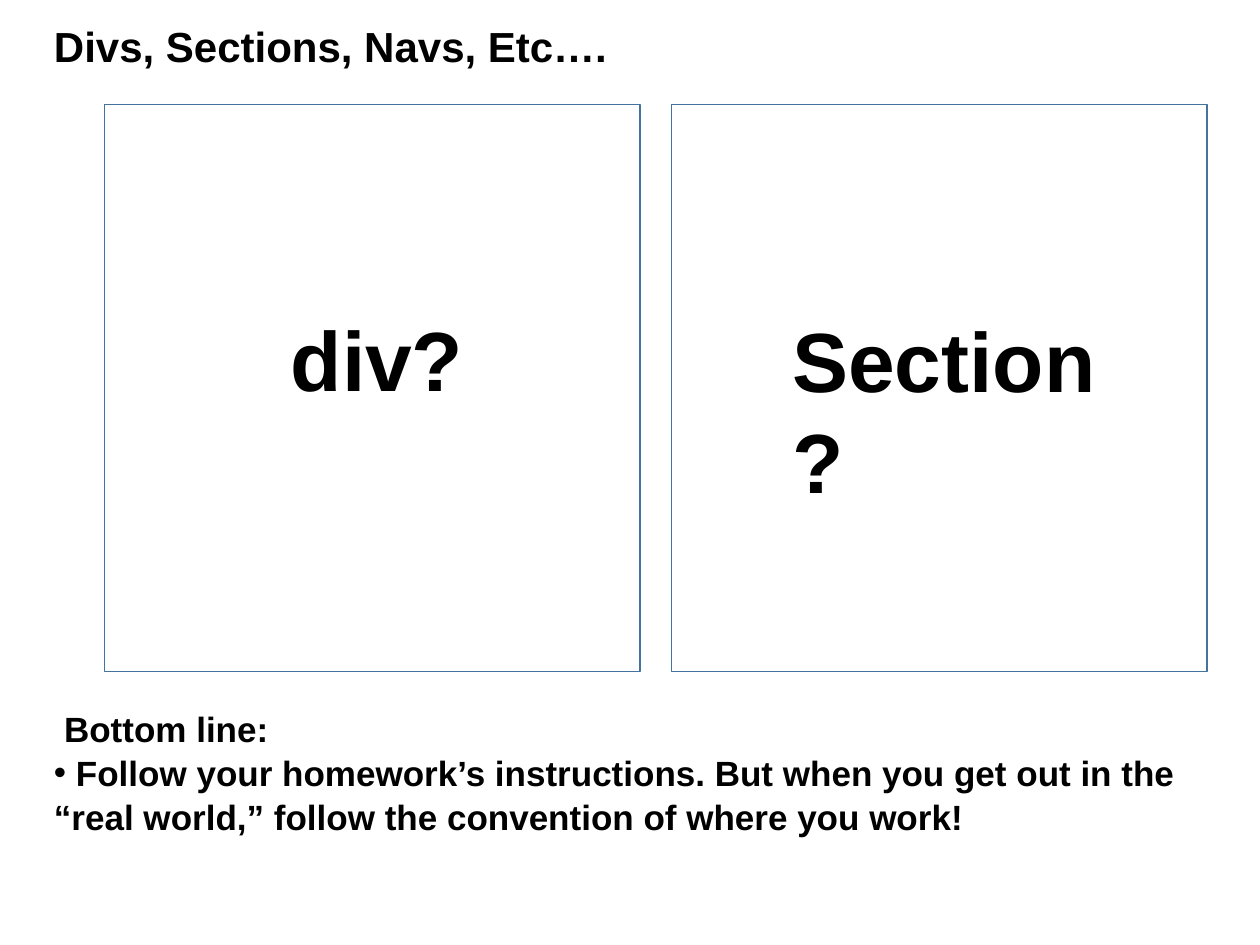
from lxml import etree
from pptx import Presentation
from pptx.dml.color import RGBColor
from pptx.enum.shapes import MSO_SHAPE
from pptx.oxml.ns import qn
from pptx.util import Inches, Pt

BLACK = RGBColor(0x00, 0x00, 0x00)
BLUE = RGBColor(0x43, 0x73, 0x9E)

presentation = Presentation()
presentation.slide_width = Inches(10)
presentation.slide_height = Inches(7.5)
slide = presentation.slides.add_slide(presentation.slide_layouts[6])


def add_text_box(left, top, width, height, wrap=True):
    frame = slide.shapes.add_textbox(
        Inches(left), Inches(top), Inches(width), Inches(height)).text_frame
    frame.word_wrap = wrap
    return frame


def add_bold_run(paragraph, text, size):
    run = paragraph.add_run()
    run.text = text
    run.font.name = "Arial"
    run.font.size = Pt(size)
    run.font.bold = True
    run.font.color.rgb = BLACK


# Title
title = add_text_box(0.33, 0.11, 6.25, 0.5)
add_bold_run(title.paragraphs[0], "Divs, Sections, Navs, Etc….", 24)

# Conclusion: a heading line and one bullet
conclusion = add_text_box(0.33, 5.5, 9.55, 1.33)
conclusion.margin_top = conclusion.margin_bottom = Inches(0.1)
heading = conclusion.paragraphs[0]
heading.line_spacing = 1.05
heading._p.get_or_add_pPr().set("marL", str(Inches(0.08)))
add_bold_run(heading, "Bottom line:", 20)

advice = conclusion.add_paragraph()
advice.line_spacing = 1.05
properties = advice._p.get_or_add_pPr()
properties.set("marL", "0")
properties.set("indent", "0")
etree.SubElement(properties, qn("a:buFont")).set("typeface", "Arial")
etree.SubElement(properties, qn("a:buChar")).set("char", "•")
add_bold_run(advice, " Follow your homework’s instructions. But when you get out "
             "in the “real world,” follow the convention of where you work!", 20)

# Two outlined panels
for left in (0.83, 5.33):
    panel = slide.shapes.add_shape(
        MSO_SHAPE.RECTANGLE, Inches(left), Inches(0.83), Inches(4.25), Inches(4.5))
    panel.shadow.inherit = False
    panel.fill.background()
    panel.line.color.rgb = BLUE
    panel.line.width = Pt(1)

# Panel labels
for text, left, top, width in (("div?", 2.21, 2.39, 1.57),
                               ("Section?", 6.19, 2.4, 3.01)):
    label = add_text_box(left, top, width, 0.9, wrap=False)
    add_bold_run(label.paragraphs[0], text, 48)

presentation.save("out.pptx")
